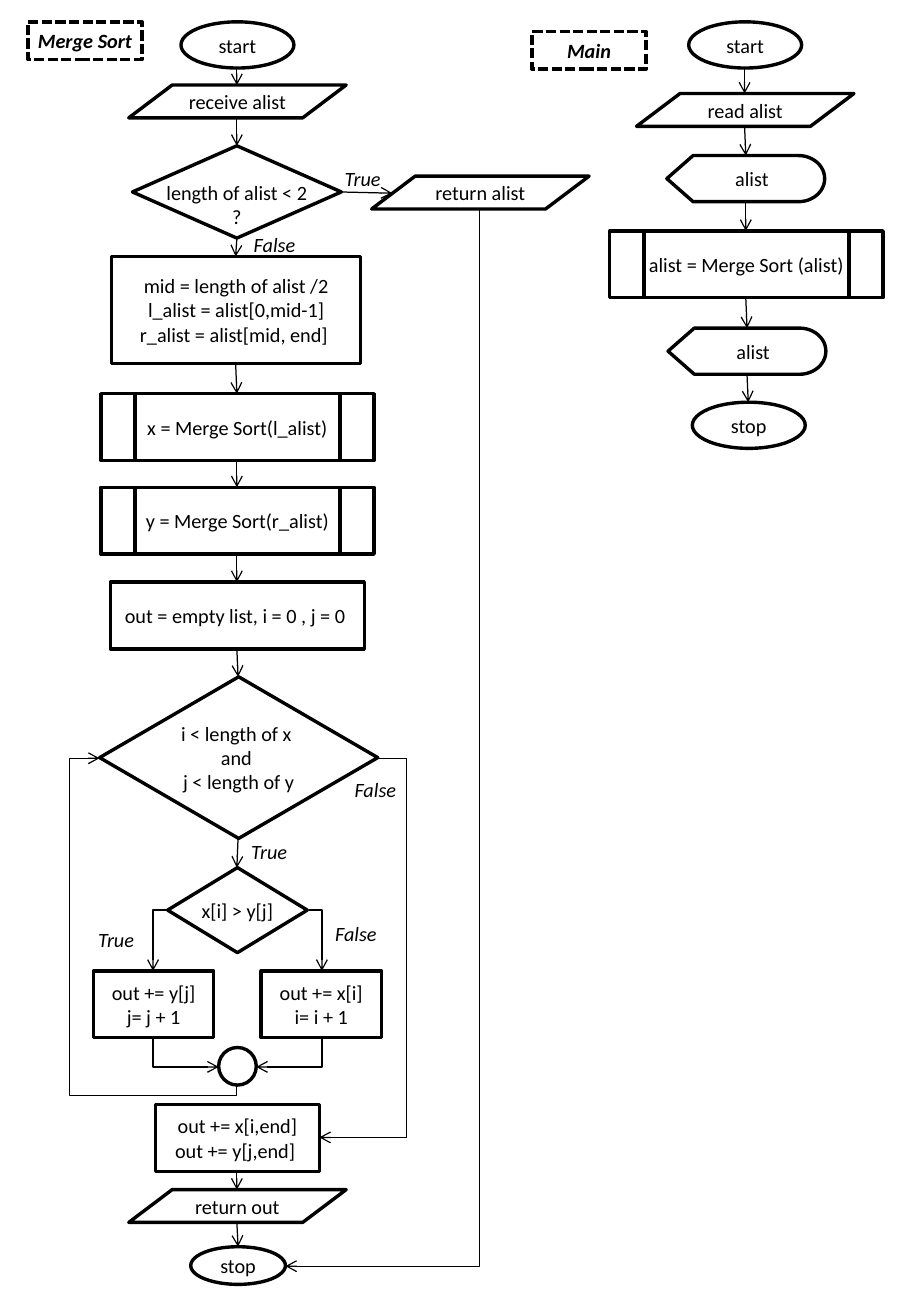
from lxml.etree import SubElement
from pptx import Presentation
from pptx.dml.color import RGBColor
from pptx.enum.dml import MSO_LINE
from pptx.enum.shapes import MSO_CONNECTOR, MSO_SHAPE
from pptx.enum.text import MSO_ANCHOR, MSO_AUTO_SIZE, PP_ALIGN
from pptx.oxml.ns import qn
from pptx.util import Pt

PX = 9144  # 100 px to the inch
BLACK = RGBColor(0, 0, 0)
WHITE = RGBColor(255, 255, 255)

OVAL = MSO_SHAPE.OVAL
BOX = MSO_SHAPE.RECTANGLE
DATA = MSO_SHAPE.FLOWCHART_DATA
TEST = MSO_SHAPE.FLOWCHART_DECISION
CALL = MSO_SHAPE.FLOWCHART_PREDEFINED_PROCESS
SHOW = MSO_SHAPE.FLOWCHART_DISPLAY

deck = Presentation()
deck.slide_width, deck.slide_height = 750 * PX, 1083 * PX
slide = deck.slides.add_slide(deck.slide_layouts[6])
shapes = slide.shapes


def write(frame, text, align, bold=False, italic=False):
    frame.word_wrap = False
    frame.vertical_anchor = MSO_ANCHOR.MIDDLE
    for i, line in enumerate(text.split("\n")):
        para = frame.paragraphs[0] if i == 0 else frame.add_paragraph()
        para.alignment = align
        run = para.add_run()
        run.text = line
        run.font.name, run.font.size = "Calibri", Pt(12)
        run.font.bold, run.font.italic = bold, italic
        run.font.color.rgb = BLACK


def wire(kind, x1, y1, x2, y2):
    link = shapes.add_connector(kind, x1 * PX, y1 * PX, x2 * PX, y2 * PX)
    link.line.color.rgb = BLACK
    link.line.width = Pt(0.75)
    SubElement(link.line._get_or_add_ln(), qn("a:tailEnd"), type="arrow")
    props = link._element.spPr
    SubElement(props, qn("a:effectLst"))
    return props


# Steps of each flow, top to bottom: kind, left, top, width, height, text
sort = [
    (OVAL, 149, 18, 93, 38, "start"),
    (DATA, 106, 70, 179, 27, "receive alist"),
    (TEST, 109, 120, 172, 76, "length of alist < 2\n?"),
    (BOX, 92, 211, 205, 88, "mid = length of alist /2\nl_alist = alist[0,mid-1]\n"
                            "r_alist = alist[mid, end] "),
    (CALL, 83, 324, 225, 55, "x = Merge Sort(l_alist)"),
    (CALL, 83, 401, 225, 55, "y = Merge Sort(r_alist)"),
    (BOX, 91, 479, 209, 55, "out = empty list, i = 0 , j = 0 "),
    (TEST, 82, 557, 229, 133, "i < length of x \nand \nj < length of y"),
    (TEST, 138, 714, 115, 70, "x[i] > y[j]"),
]
finish = [
    (BOX, 128, 909, 135, 55, "out += x[i,end]\nout += y[j,end] "),
    (DATA, 106, 979, 179, 27, "return out"),
    (OVAL, 157, 1026, 78, 31, "stop"),
]
main = [
    (OVAL, 567, 18, 93, 38, "start"),
    (DATA, 524, 77, 179, 27, "read alist"),
    (SHOW, 549, 128, 130, 38, "alist"),
    (CALL, 502, 190, 225, 55, "alist = Merge Sort (alist)"),
    (SHOW, 550, 270, 130, 38, "alist"),
    (OVAL, 570, 331, 93, 38, "stop"),
]
sides = [
    (DATA, 306, 145, 179, 27, "return alist"),
    (BOX, 77, 799, 99, 55, "out += y[j]\nj= j + 1"),
    (BOX, 215, 799, 99, 55, "out += x[i]\ni= i + 1"),
    (OVAL, 180, 862, 31, 31, ""),
]
titles = [
    (BOX, 23, 18, 94, 31, "Merge Sort"),
    (BOX, 438, 26, 94, 31, "Main"),
]
for group in (sort, finish, main, sides, titles):
    title = group is titles
    for kind, x, y, w, h, text in group:
        step = shapes.add_shape(kind, x * PX, y * PX, w * PX, h * PX)
        step.shadow.inherit = False
        step.fill.solid()
        step.fill.fore_color.rgb = WHITE
        step.line.color.rgb = BLACK
        step.line.width = Pt(2)
        if title:
            step.line.dash_style = MSO_LINE.SQUARE_DOT
        if text:
            write(step.text_frame, text, PP_ALIGN.CENTER, title, title)
        # Insets nudge the text off centre
        if kind == SHOW:
            step.text_frame.margin_left = 20 * PX
        if text.endswith("?"):
            step.text_frame.margin_top = 25 * PX

# Straight arrows from each step to the next
for chain in (sort, finish, main):
    for (_, x, y, w, h, _), (_, x2, y2, w2, _, _) in zip(chain, chain[1:]):
        wire(MSO_CONNECTOR.STRAIGHT, x + w // 2, y + h, x2 + w2 // 2, y2)
wire(MSO_CONNECTOR.STRAIGHT, 281, 158, 323, 159)

# Bent arrows: start, end, turn in degrees, flip, bend count, adjustments
bends = [
    (310, 624, 263, 936, 0, "flipH", 3, [-52700]),
    (138, 749, 126, 799, 180, "flipV", 2, []),
    (254, 749, 265, 799, 0, "", 2, []),
    (126, 854, 180, 878, 270, "flipH", 2, []),
    (265, 854, 211, 878, 90, "", 2, []),
    (195, 893, 82, 624, 90, "flipH", 4, [-3100, 122100]),
    (395, 172, 235, 1042, 90, "", 2, []),
]
for x1, y1, x2, y2, turn, flip, count, adjust in bends:
    w, h = abs(x2 - x1), abs(y2 - y1)
    if turn % 180:
        w, h = h, w
    left, top = (x1 + x2 - w) // 2, (y1 + y2 - h) // 2
    props = wire(MSO_CONNECTOR.ELBOW, left, top, left + w, top + h)
    props.xfrm.set("rot", str(turn * 60000))
    if flip:
        props.xfrm.set(flip, "1")
    shape = props.find(qn("a:prstGeom"))
    shape.set("prst", f"bentConnector{count}")
    guides = shape.find(qn("a:avLst"))
    for i, value in enumerate(adjust, 1):
        SubElement(guides, qn("a:gd"), name=f"adj{i}", fmla=f"val {value}")

# Branch labels
for x, y, text in [
    (199, 186, "False"), (274, 132, "True"), (197, 686, "True"),
    (282, 635, "False"), (71, 758, "True"), (266, 753, "False"),
]:
    width = 50 if text == "True" else 55
    label = shapes.add_textbox(x * PX, y * PX, width * PX, 30 * PX)
    write(label.text_frame, text, PP_ALIGN.LEFT, italic=True)
    label.text_frame.auto_size = MSO_AUTO_SIZE.SHAPE_TO_FIT_TEXT

deck.save("out.pptx")
